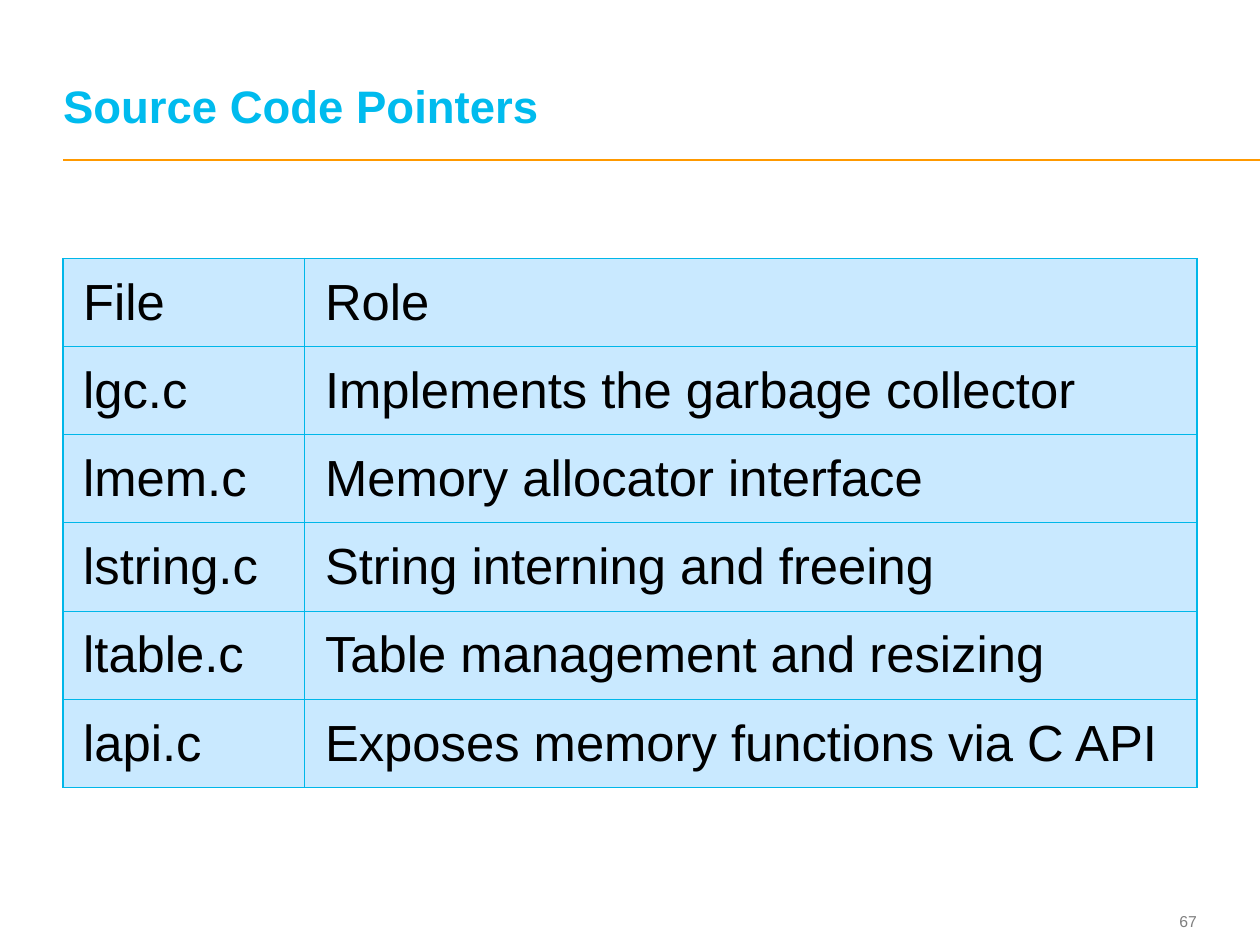
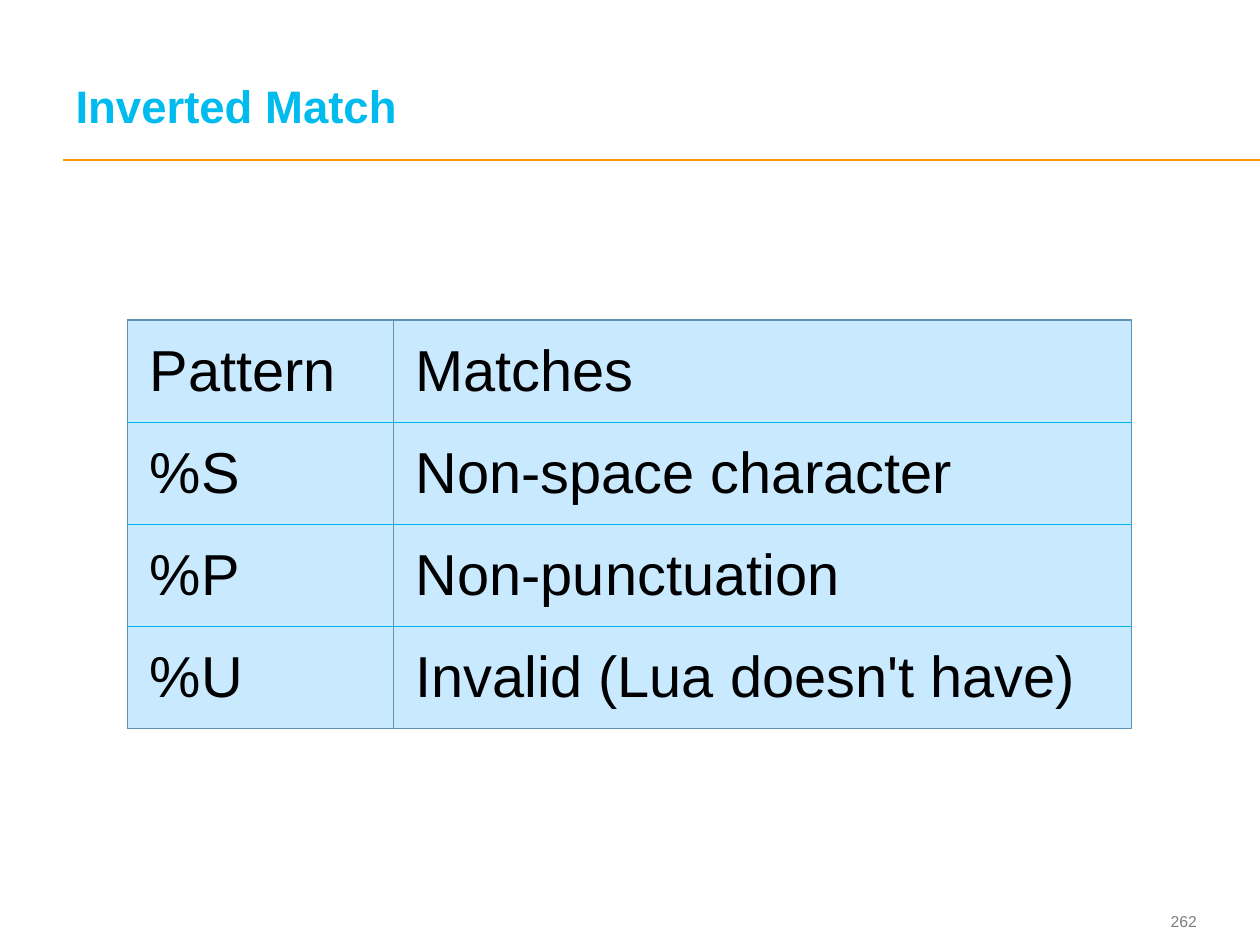
import pptx
import pptx.dml.color
import pptx.enum.shapes
import pptx.enum.text
import pptx.oxml
import pptx.oxml.ns
import pptx.util

Inches = pptx.util.Inches
Pt = pptx.util.Pt
RGBColor = pptx.dml.color.RGBColor
Align = pptx.enum.text.PP_ALIGN
Anchor = pptx.enum.text.MSO_ANCHOR

TITLE_BLUE = RGBColor(0x00, 0xBB, 0xEE)
RULE_ORANGE = RGBColor(0xFF, 0x99, 0x00)
NUMBER_GREY = RGBColor(0x7F, 0x7F, 0x7F)
CELL_BLUE = RGBColor(0xC9, 0xE9, 0xFF)
BORDER_CYAN = RGBColor(0x00, 0xB7, 0xE9)
BORDER_STEEL = RGBColor(0x5F, 0x93, 0xB3)
BLACK = RGBColor(0, 0, 0)
FONT = "Arial"
TITLE_ONLY = 5


class Deck:
    def __init__(self):
        self.presentation = pptx.Presentation()
        self.presentation.slide_width = Inches(10)
        self.presentation.slide_height = Inches(7.5)
        self.slide = None

    def start_slide(self, title, number, title_indent=0):
        layout = self.presentation.slide_layouts[TITLE_ONLY]
        self.slide = self.presentation.slides.add_slide(layout)
        self.rule()
        self.page_number(number)
        self.title(title, title_indent)

    def rule(self):
        line = self.slide.shapes.add_connector(
            pptx.enum.shapes.MSO_CONNECTOR.STRAIGHT,
            Inches(0.5), Inches(1.27), Inches(10), Inches(1.27))
        line.line.color.rgb = RULE_ORANGE
        line.line.width = Pt(1)
        line._element.spPr.append(pptx.oxml.parse_xml(
            f'<a:effectLst {pptx.oxml.ns.nsdecls("a")}/>'))

    def page_number(self, number):
        box = self.slide.shapes.add_textbox(
            Inches(8.91), Inches(7.18), Inches(0.59), Inches(0.27))
        self.fill_frame(box.text_frame, str(number), 9, NUMBER_GREY,
                        Anchor.MIDDLE, Align.RIGHT)

    def title(self, text, indent):
        heading = self.slide.shapes.title
        heading.left, heading.top = Inches(0.5), Inches(0.19)
        heading.width, heading.height = Inches(8.97), Inches(0.86)
        self.fill_frame(heading.text_frame, text, 26, TITLE_BLUE,
                        Anchor.BOTTOM, Align.LEFT)
        heading.text_frame.margin_left = Inches(indent)
        paragraph = heading.text_frame.paragraphs[0]
        paragraph.line_spacing = Pt(26)
        paragraph.font.bold = True

    def fill_frame(self, frame, text, size, color, anchor, alignment):
        frame.text = text
        frame.word_wrap = True
        frame.auto_size = pptx.enum.text.MSO_AUTO_SIZE.NONE
        frame.vertical_anchor = anchor
        frame.margin_left = frame.margin_right = 0
        frame.margin_top = frame.margin_bottom = 0
        frame.paragraphs[0].alignment = alignment
        self.style(frame.paragraphs[0].font, size, color)

    def style(self, font, size, color):
        font.name, font.size, font.color.rgb = FONT, Pt(size), color

    def table(self, rows, left, top, widths, row_height, size, padding, frame_color):
        """Draw rows; frame_color is used on the outline and between columns."""
        table = self.slide.shapes.add_table(
            len(rows), len(widths), Inches(left), Inches(top),
            Inches(sum(widths)), Inches(row_height * len(rows))).table
        table.first_row = table.horz_banding = False
        for column, width in zip(table.columns, widths):
            column.width = Inches(width)
        last = len(rows) - 1
        for r, values in enumerate(rows):
            table.rows[r].height = Inches(row_height)
            for c, value in enumerate(values):
                cell = table.cell(r, c)
                cell.text = value
                cell.vertical_anchor = Anchor.MIDDLE
                cell.margin_left = cell.margin_right = Inches(padding)
                cell.margin_top = cell.margin_bottom = Inches(padding / 2)
                self.style(cell.text_frame.paragraphs[0].font, size, BLACK)
                self.borders(cell, {
                    "L": frame_color,
                    "R": frame_color,
                    "T": frame_color if r == 0 else BORDER_CYAN,
                    "B": frame_color if r == last else BORDER_CYAN})
                cell.fill.solid()
                cell.fill.fore_color.rgb = CELL_BLUE

    def borders(self, cell, colors):
        properties = cell._tc.get_or_add_tcPr()
        for side, color in colors.items():
            properties.append(pptx.oxml.parse_xml(
                f'<a:ln{side} {pptx.oxml.ns.nsdecls("a")} w="{Pt(0.75)}">'
                f'<a:solidFill><a:srgbClr val="{color}"/></a:solidFill></a:ln{side}>'))


def main():
    deck = Deck()

    deck.start_slide("Source Code Pointers", 67)
    source_files = [
        ("File", "Role"),
        ("lgc.c", "Implements the garbage collector"),
        ("lmem.c", "Memory allocator interface"),
        ("lstring.c", "String interning and freeing"),
        ("ltable.c", "Table management and resizing"),
        ("lapi.c", "Exposes memory functions via C API"),
    ]
    deck.table(source_files, 0.5, 2.05, (1.92, 7.08), 0.7, 29, 0.16, BORDER_CYAN)

    deck.start_slide("Inverted Match", 262, title_indent=0.1)
    inverted_patterns = [
        ("Pattern", "Matches"),
        ("%S", "Non-space character"),
        ("%P", "Non-punctuation"),
        ("%U", "Invalid (Lua doesn't have)"),
    ]
    deck.table(inverted_patterns, 1.01, 2.54, (2.11, 5.86), 0.81, 33, 0.18, BORDER_STEEL)

    deck.presentation.save("out.pptx")


if __name__ == "__main__":
    main()
